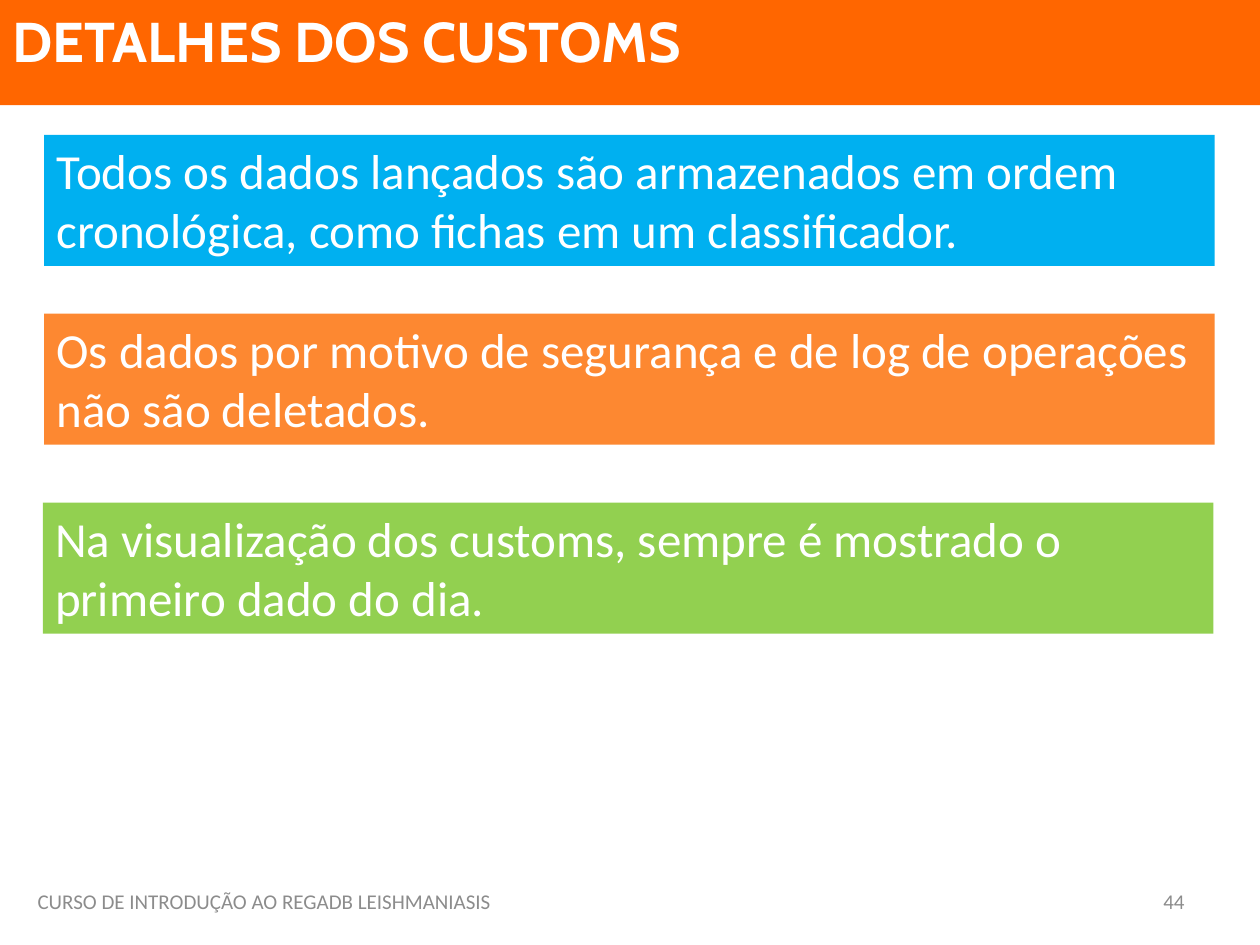
import pptx
import pptx.util
import pptx.dml.color
import pptx.enum.shapes
import pptx.enum.text

Pt = pptx.util.Pt
RGBColor = pptx.dml.color.RGBColor
ALIGN = pptx.enum.text.PP_ALIGN
ANCHOR = pptx.enum.text.MSO_ANCHOR
AUTO_SIZE = pptx.enum.text.MSO_AUTO_SIZE

WHITE = RGBColor(0xFF, 0xFF, 0xFF)
GRAY = RGBColor(0x8C, 0x8C, 0x8C)
TITLE_ORANGE = RGBColor(0xFF, 0x66, 0x00)
BLUE = RGBColor(0x00, 0xB0, 0xF0)
ORANGE = RGBColor(0xFD, 0x88, 0x31)
GREEN = RGBColor(0x92, 0xD0, 0x50)

TITLE_FONT = {"name": "Cabin", "size": Pt(32), "bold": True}
CARD_FONT = {"name": "Calibri", "size": Pt(28)}
FOOTER_FONT = {"name": "Calibri", "size": Pt(12)}

# Left, top, fill and text of each message
CARDS = [
    (25.2, 77.04, BLUE, "Todos os dados lançados são armazenados em ordem "
                        "cronológica, como fichas em um classificador."),
    (25.2, 179.28, ORANGE, "Os dados por motivo de segurança e de log de "
                           "operações não são deletados."),
    (24.48, 287.28, GREEN, "Na visualização dos customs, sempre é mostrado o "
                           "primeiro dado do dia."),
]
CARD_WIDTH, CARD_HEIGHT = 668.88, 74.88
FOOTER_TOP, FOOTER_HEIGHT = 500.4, 28.8


def write_text(shape, text, font_format, color, anchor=ANCHOR.TOP,
               alignment=ALIGN.LEFT, auto_size=AUTO_SIZE.SHAPE_TO_FIT_TEXT):
    frame = shape.text_frame
    frame.text = text
    frame.word_wrap = True
    frame.auto_size = auto_size
    frame.vertical_anchor = anchor
    paragraph = frame.paragraphs[0]
    paragraph.alignment = alignment
    font = paragraph.runs[0].font
    for name, value in font_format.items():
        setattr(font, name, value)
    font.color.rgb = color


def paint(shape, color):
    shape.fill.solid()
    shape.fill.fore_color.rgb = color
    shape.line.fill.background()


def add_title(slide, text):
    title = slide.shapes.title
    title.left, title.top = Pt(0), Pt(0)
    title.width, title.height = Pt(720), Pt(46.08)
    paint(title, TITLE_ORANGE)
    write_text(title, text, TITLE_FONT, WHITE)


def add_card(slide, left, top, color, text):
    card = slide.shapes.add_shape(
        pptx.enum.shapes.MSO_SHAPE.RECTANGLE,
        Pt(left), Pt(top), Pt(CARD_WIDTH), Pt(CARD_HEIGHT))
    card.shadow.inherit = False
    paint(card, color)
    write_text(card, text, CARD_FONT, WHITE)


def add_footer(slide, left, width, text, alignment):
    footer = slide.shapes.add_textbox(
        Pt(left), Pt(FOOTER_TOP), Pt(width), Pt(FOOTER_HEIGHT))
    write_text(footer, text, FOOTER_FONT, GRAY, ANCHOR.MIDDLE, alignment,
               AUTO_SIZE.NONE)


def main():
    presentation = pptx.Presentation()
    presentation.slide_width, presentation.slide_height = Pt(720), Pt(540)
    title_only = presentation.slide_layouts[5]
    slide = presentation.slides.add_slide(title_only)

    # Title band
    add_title(slide, "DETALHES DOS CUSTOMS")

    # Message cards
    for card in CARDS:
        add_card(slide, *card)

    # Footer and page number
    add_footer(slide, 14.4, 460.08,
               "CURSO DE INTRODUÇÃO AO REGADB LEISHMANIASIS", ALIGN.LEFT)
    add_footer(slide, 516.24, 167.76, "44", ALIGN.RIGHT)

    presentation.save("out.pptx")


if __name__ == "__main__":
    main()
